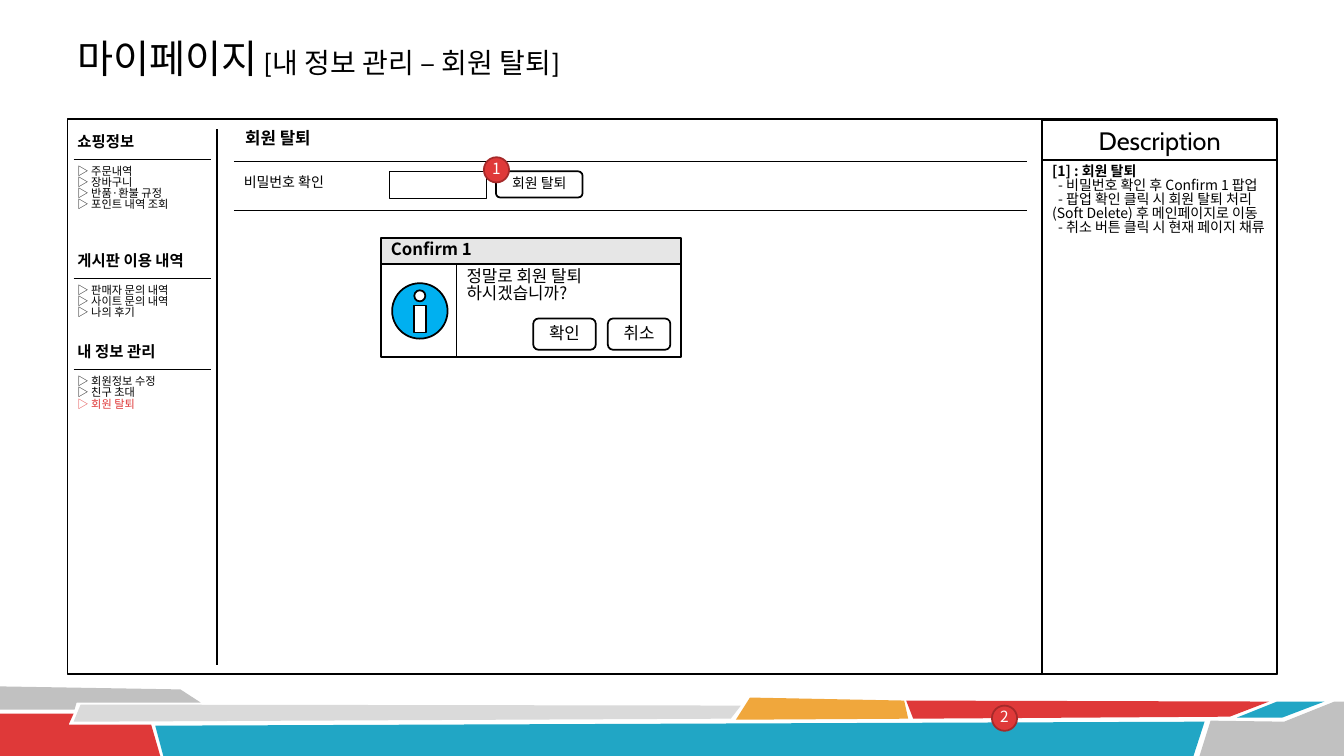
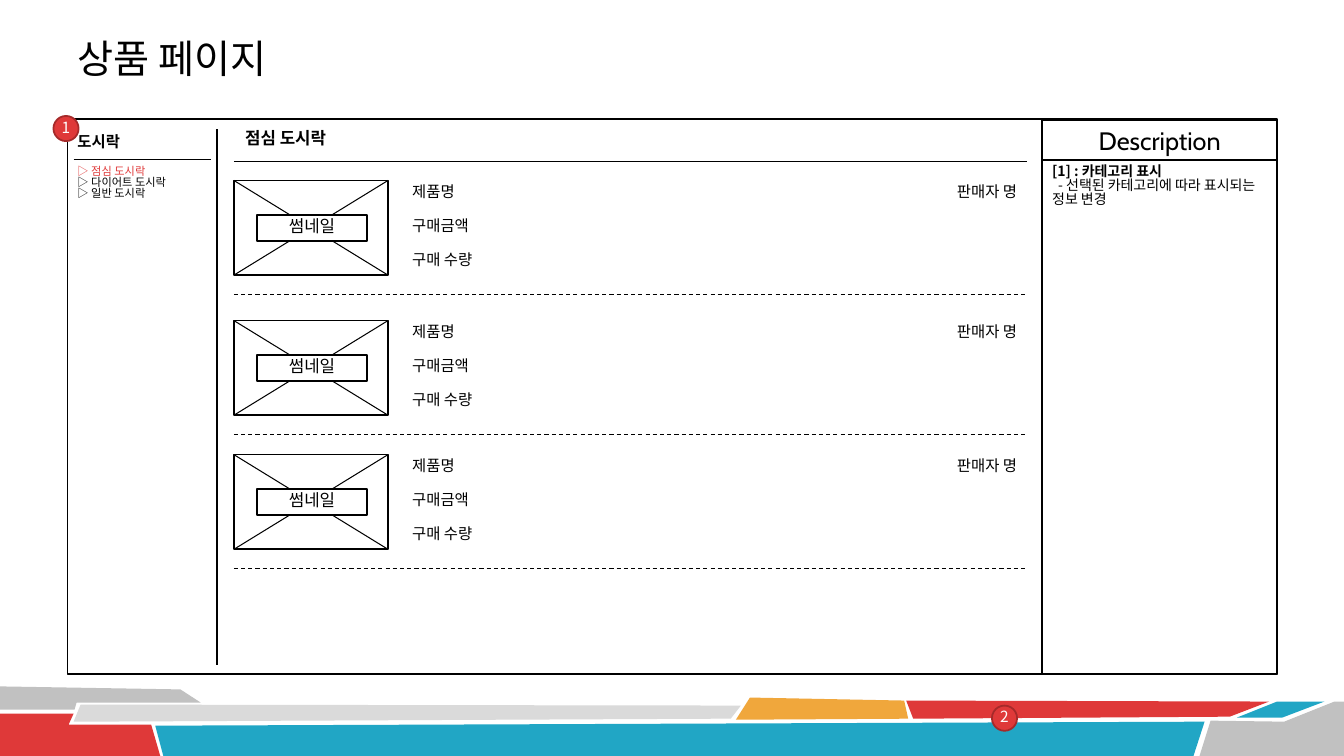
from pptx import Presentation
from pptx.dml.color import RGBColor
from pptx.enum.dml import MSO_LINE
from pptx.enum.shapes import MSO_CONNECTOR, MSO_SHAPE
from pptx.enum.text import MSO_ANCHOR, PP_ALIGN
from pptx.oxml.ns import qn
from pptx.util import Inches, Pt
from lxml import etree

RECT, ROUND, OVAL = MSO_SHAPE.RECTANGLE, MSO_SHAPE.ROUNDED_RECTANGLE, MSO_SHAPE.OVAL
STRAIGHT, DASH = MSO_CONNECTOR.STRAIGHT, MSO_LINE.DASH
TOP, MIDDLE = MSO_ANCHOR.TOP, MSO_ANCHOR.MIDDLE
LEFT, CENTER, RIGHT = PP_ALIGN.LEFT, PP_ALIGN.CENTER, PP_ALIGN.RIGHT

BLACK = RGBColor(0x00, 0x00, 0x00)
WHITE = RGBColor(0xFF, 0xFF, 0xFF)
RED = RGBColor(0xDF, 0x39, 0x39)
BROWN = RGBColor(0xA5, 0x2A, 0x2A)
TEAL = RGBColor(0x21, 0xA6, 0xC5)
AMBER = RGBColor(0xF0, 0xA7, 0x3C)
SILVER = RGBColor(0xC1, 0xC1, 0xC1)
PALE = RGBColor(0xDA, 0xDA, 0xDA)
MIST = RGBColor(0xE6, 0xE6, 0xE6)
SKY = RGBColor(0x00, 0xB0, 0xF0)

KOREAN, LATIN, TITLE_FONT = "Noto Sans CJK KR", "Cabin", "Calibri"
CELL = Inches(0.1)
COLUMNS, ROWS = 133.33, 75
THIN, BOLD_LINE = 0.75, 1.25
TIGHT = 0.83

BANDS = [
    (SILVER, [(0, 68.1), (17.9, 68.4), (19.9, 69.7), (7.6, 69.7), (7.4, 70.4), (0, 70.4)]),
    (RED, [(0, 70.8), (7.3, 70.8), (6.8, 71.9), (15, 71.9), (15.9, 75), (0, 75)]),
    (PALE, [(8, 69.9), (73.5, 70), (72.5, 71.3), (7.3, 71.6)]),
    (TEAL, [(15.4, 72), (119.5, 71.6), (118.4, 75), (16.2, 75)]),
    (AMBER, [(74.4, 69.2), (89.7, 69.5), (90.1, 71.3), (73, 71.4)]),
    (RED, [(89.9, 69.5), (125.9, 69.6), (122, 71.1), (90.6, 71.3)]),
    (TEAL, [(126.7, 69.6), (131.4, 69.6), (127.2, 71.2), (122.7, 71.2)]),
    (SILVER, [(120.1, 71.5), (127.4, 71.6), (132.4, 69.6), (133.33, 69.6),
              (133.33, 75), (119, 75)]),
]


def cells(*counts):
    return [round(count * CELL) for count in counts]


def write(shape, lines, size=11, font=KOREAN, color=BLACK, bold=False, align=LEFT,
          anchor=TOP, spacing=TIGHT, margins=(1, 0.5, 1, 0.5)):
    frame = shape.text_frame
    frame.word_wrap = True
    frame.vertical_anchor = anchor
    (frame.margin_left, frame.margin_top,
     frame.margin_right, frame.margin_bottom) = cells(*margins)
    for index, line in enumerate(lines):
        paragraph = frame.paragraphs[0] if index == 0 else frame.add_paragraph()
        paragraph.alignment = align
        paragraph.line_spacing = spacing
        for words, changes in [(line, {})] if isinstance(line, str) else line:
            run = paragraph.add_run()
            run.text = words
            run.font.name = font
            run.font.size = Pt(changes.get("size", size))
            run.font.bold = changes.get("bold", bold)
            run.font.color.rgb = changes.get("color", color)
            east_asian = etree.SubElement(run.font._element, qn("a:ea"))
            east_asian.set("typeface", KOREAN)
    return frame


class Wireframe:
    def __init__(self):
        self.deck = Presentation()
        self.deck.slide_width, self.deck.slide_height = cells(COLUMNS, ROWS)
        self.slide = self.shapes = None

    def begin_group(self):
        self.shapes = self.slide.shapes.add_group_shape().shapes

    def end_group(self):
        self.shapes = self.slide.shapes

    def box(self, kind, left, top, width, height, fill=None, line=BLACK, weight=BOLD_LINE):
        shape = self.shapes.add_shape(kind, *cells(left, top, width, height))
        self.paint(shape, fill, line, weight)
        return shape

    def paint(self, shape, fill, line=None, weight=BOLD_LINE):
        shape.shadow.inherit = False
        if fill is None:
            shape.fill.background()
        else:
            shape.fill.solid()
            shape.fill.fore_color.rgb = fill
        if line is None:
            shape.line.fill.background()
        else:
            shape.line.color.rgb = line
            shape.line.width = Pt(weight)

    def rule(self, x1, y1, x2, y2, weight=THIN, dash=None):
        rule = self.shapes.add_connector(STRAIGHT, *cells(x1, y1, x2, y2))
        rule.line.color.rgb = BLACK
        rule.line.width = Pt(weight)
        if dash is not None:
            rule.line.dash_style = dash
        etree.SubElement(rule._element.spPr, qn("a:effectLst"))

    def text(self, left, top, width, height, lines, **style):
        return write(self.shapes.add_textbox(*cells(left, top, width, height)), lines, **style)

    def band(self, color, points):
        start, *rest = [cells(*point) for point in points]
        outline = self.shapes.build_freeform(*start)
        outline.add_line_segments(rest, close=True)
        self.paint(outline.convert_to_shape(), color)

    def badge(self, left, top, number):
        write(self.box(OVAL, left, top, 2.5, 2.5, RED, BROWN), [number], color=WHITE,
              align=CENTER, anchor=MIDDLE, margins=(0, 0, 0, 0))

    def button(self, left, top, width, height, label, size):
        write(self.box(ROUND, left, top, width, height, WHITE), [label], size=size,
              align=CENTER, anchor=MIDDLE)

    def menu(self, top, heading, entries, selected=None):
        self.text(6.7, top, 14.9, 2.9, [heading], bold=True)
        self.rule(7.3, top + 2.9, 20.9, top + 2.9)
        lines = [[(f"▷ {entry}", {"color": RED if entry == selected else BLACK})]
                 for entry in entries]
        self.text(6.7, top + 3.1, 14.9, 1 + 1.35 * len(entries), lines, size=8)

    def page(self, title, heading, topic, notes):
        self.slide = self.deck.slides.add_slide(self.deck.slide_layouts[6])
        self.end_group()
        for color, points in BANDS:
            self.band(color, points)
        self.box(RECT, 6.7, 11.8, 120, 55.1, WHITE)
        self.text(6.7, 3.1, 120, 6.1, [title], size=28, font=TITLE_FONT, anchor=MIDDLE)
        description = write(self.box(RECT, 103.4, 15.9, 23.3, 51),
                            [[(topic, {"bold": True})], *notes], size=10,
                            margins=(1, 0.5, 1.1, 0.5))
        for note in description.paragraphs[1:]:
            note._p.get_or_add_pPr().set("indent", str(Inches(0.06)))
        write(self.box(RECT, 103.4, 11.9, 23.3, 4), ["Description"], size=18, font=LATIN,
              align=CENTER, anchor=MIDDLE, spacing=1)
        self.rule(21.5, 12.8, 21.5, 66, BOLD_LINE)
        write(self.box(ROUND, 23.2, 12.5, 14.5, 2.7, WHITE, None), [heading], size=12,
              bold=True, anchor=MIDDLE)
        self.rule(23.2, 16, 101.9, 16)
        self.badge(98.4, 70, "2")

    def confirm(self, left, top, caption, question):
        self.begin_group()
        self.box(RECT, left, top + 2.6, 7.5, 9.2, WHITE)
        write(self.box(RECT, left, top, 29.8, 2.6, MIST), [caption], size=12, bold=True,
              anchor=MIDDLE)
        self.box(OVAL, left + 1.1, top + 4.5, 5.5, 5.5, SKY)
        self.box(OVAL, left + 3.3, top + 5.2, 1.1, 1.1, WHITE)
        self.box(RECT, left + 3.3, top + 6.7, 1.2, 2.7, WHITE)
        write(self.box(RECT, left + 7.5, top + 2.6, 22.3, 9.2, WHITE), question, size=12)
        for index, label in enumerate(["확인", "취소"]):
            self.button(left + 15.1 + 7.4 * index, top + 8, 6.2, 3.1, label, 12)
        self.end_group()

    def product(self, top):
        left, right, bottom = 23.2, 38.5, top + 9.4
        self.begin_group()
        self.box(RECT, left, top, right - left, 9.4, WHITE)
        self.rule(left, top, right, bottom)
        self.rule(right, top, left, bottom)
        write(self.box(RECT, 25.5, top + 3.4, 10.9, 2.6, WHITE), ["썸네일"], size=12,
              font=LATIN, align=CENTER, anchor=MIDDLE)
        self.end_group()
        for index, label in enumerate(["제품명", "구매금액", "구매 수량"]):
            self.text(39.9, top + 3.37 * index, 30.5, 2.9, [label], font=LATIN)
        self.text(83.6, top, 18.3, 2.9, ["판매자 명"], font=LATIN, align=RIGHT)
        self.rule(left, top + 11.3, 101.9, top + 11.3, dash=DASH)


def withdrawal_page(wireframe):
    wireframe.page(
        [("마이페이지", {}), (" [내 정보 관리 – 회원 탈퇴]", {"size": 20})],
        "회원 탈퇴", "[1] : 회원 탈퇴",
        ["- 비밀번호 확인 후 Confirm 1 팝업",
         "- 팝업 확인 클릭 시 회원 탈퇴 처리(Soft Delete) 후 메인페이지로 이동",
         "- 취소 버튼 클릭 시 현재 페이지 채류"])
    wireframe.menu(12.9, "쇼핑정보", ["주문내역", "장바구니", "반품·환불 규정", "포인트 내역 조회"])
    wireframe.menu(24.7, "게시판 이용 내역", ["판매자 문의 내역", "사이트 문의 내역", "나의 후기"])
    wireframe.menu(33.8, "내 정보 관리", ["회원정보 수정", "친구 초대", "회원 탈퇴"], "회원 탈퇴")
    wireframe.text(23.2, 17, 14.6, 2.7, ["비밀번호 확인"], size=10)
    wireframe.box(RECT, 38.6, 17, 9.7, 2.7, weight=THIN)
    wireframe.button(49.2, 17, 8.6, 2.6, "회원 탈퇴", 10)
    wireframe.rule(23.2, 20.9, 101.9, 20.9)
    wireframe.badge(48, 15.6, "1")
    wireframe.confirm(37.8, 23.6, "Confirm 1", ["정말로 회원 탈퇴", "하시겠습니까?"])


def product_page(wireframe):
    wireframe.page([("상품 페이지", {})], "점심 도시락", "[1] : 카테고리 표시",
                   ["- 선택된 카테고리에 따라 표시되는 정보 변경"])
    wireframe.menu(12.9, "도시락", ["점심 도시락", "다이어트 도시락", "일반 도시락"], "점심 도시락")
    for top in (17.9, 31.8, 45.1):
        wireframe.product(top)
    wireframe.badge(5.3, 11.5, "1")


def main():
    wireframe = Wireframe()
    withdrawal_page(wireframe)
    product_page(wireframe)
    wireframe.deck.save("out.pptx")


if __name__ == "__main__":
    main()
